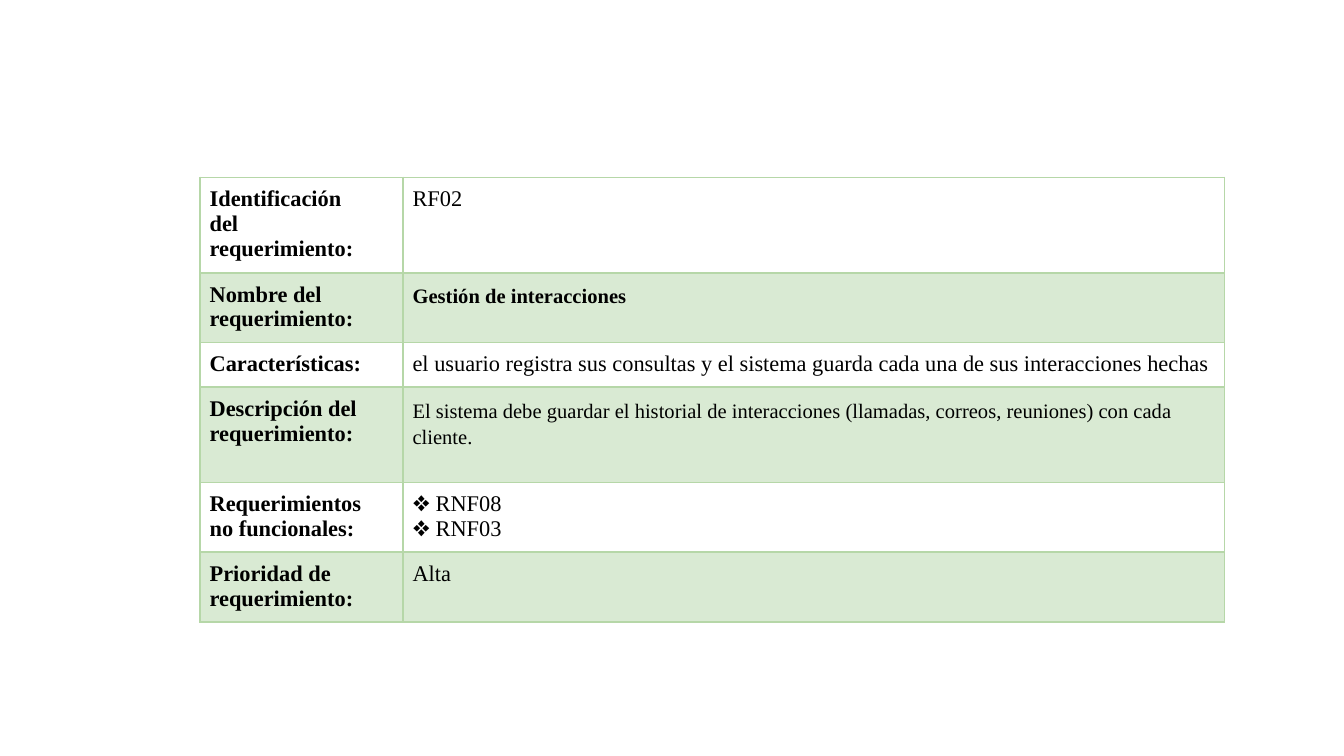
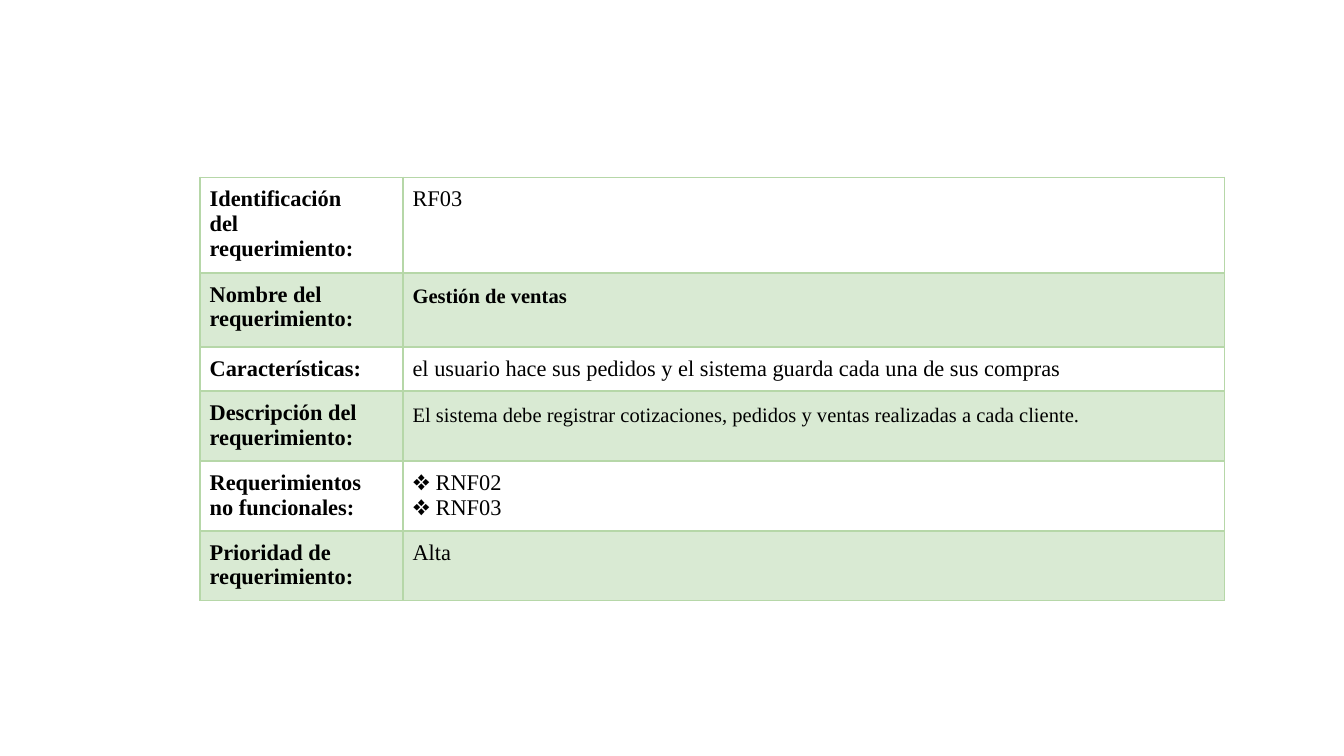
from dataclasses import dataclass
from lxml import etree
from pptx import Presentation, util as u
from pptx.dml.color import RGBColor
from pptx.oxml.ns import qn


@dataclass(frozen=True)
class Theme:
    font: str = "Times New Roman"
    ink: str = "000000"
    band: str = "D9EAD3"
    rule: str = "B6D7A8"
    size: int = 12
    small: int = 11
    lead: float = 1.15
    pad: float = 0.07


look = Theme()

# Each label line is its own paragraph
labels = [
    "Identificación\ndel\nrequerimiento:",
    "Nombre del\nrequerimiento:",
    "Características:",
    "Descripción del\nrequerimiento:",
    "Requerimientos\nno funcionales:",
    "Prioridad de\nrequerimiento:",
]
NAME, DESC = 1, 3  # rows whose value is set smaller and looser
widths = [1.51, 6.11]

# Row heights and values of each requirement
cards = [
    ([0.71, 0.52, 0.33, 0.71, 0.52, 0.52], [
        "RF02",
        "Gestión de interacciones",
        "el usuario registra sus consultas y el sistema guarda "
        "cada una de sus interacciones hechas",
        "El sistema debe guardar el historial de interacciones "
        "(llamadas, correos, reuniones) con cada cliente.",
        "❖ RNF08\n❖ RNF03",
        "Alta",
    ]),
    ([0.71, 0.55, 0.33, 0.52, 0.52, 0.52], [
        "RF03",
        "Gestión de ventas",
        "el usuario hace sus pedidos y el sistema guarda cada una de sus compras",
        "El sistema debe registrar cotizaciones, pedidos y ventas "
        "realizadas a cada cliente.",
        "❖ RNF02\n❖ RNF03",
        "Alta",
    ]),
]


def frame(cell, shade):
    """Set the margins, the four borders and the fill of a cell."""
    cell.margin_left = cell.margin_right = u.Inches(look.pad)
    cell.margin_top = cell.margin_bottom = u.Inches(look.pad)
    props = cell._tc.get_or_add_tcPr()
    for side in ("lnL", "lnR", "lnT", "lnB"):
        line = etree.SubElement(props, qn("a:" + side), w=str(u.Pt(1)))
        fill = etree.SubElement(line, qn("a:solidFill"))
        etree.SubElement(fill, qn("a:srgbClr"), val=look.rule)
    if shade:
        cell.fill.solid()
        cell.fill.fore_color.rgb = RGBColor.from_string(look.band)
    else:
        cell.fill.background()


def write(cell, words, bold, loose):
    cell.text_frame.text = words
    for para in cell.text_frame.paragraphs:
        if loose:
            para.line_spacing = look.lead
        for run in para.runs:
            run.font.name = look.font
            run.font.size = u.Pt(look.small if loose else look.size)
            run.font.bold = bold
            run.font.color.rgb = RGBColor.from_string(look.ink)


deck = Presentation()
deck.slide_width = u.Inches(10)
deck.slide_height = u.Inches(10 * 9 / 16)

for heights, values in cards:
    slide = deck.slides.add_slide(deck.slide_layouts[6])
    grid = slide.shapes.add_table(
        len(labels), len(widths), u.Inches(1.49), u.Inches(1.32),
        u.Inches(sum(widths)), u.Inches(sum(heights))).table
    grid.first_row = grid.horz_banding = False
    for col, width in zip(grid.columns, widths):
        col.width = u.Inches(width)
    for i, pair in enumerate(zip(labels, values)):
        grid.rows[i].height = u.Inches(heights[i])
        for j, words in enumerate(pair):
            cell = grid.cell(i, j)
            frame(cell, shade=i % 2 == 1)
            write(cell, words, bold=j == 0 or i == NAME,
                  loose=j == 1 and i in (NAME, DESC))

deck.save("out.pptx")
